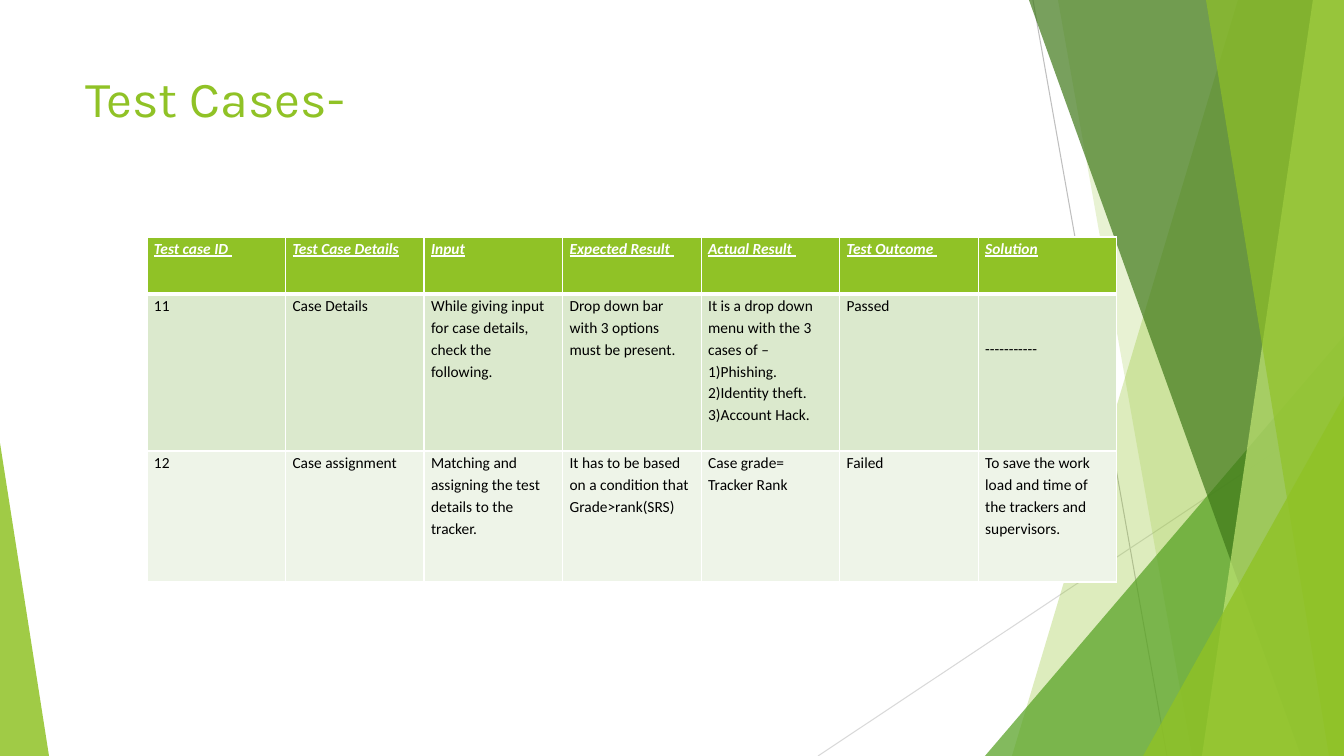
from lxml.etree import SubElement
from pptx import Presentation
from pptx.dml.color import RGBColor
from pptx.enum.shapes import MSO_CONNECTOR, MSO_SHAPE
from pptx.enum.text import MSO_ANCHOR, MSO_AUTO_SIZE, PP_ALIGN
from pptx.oxml.ns import qn
from pptx.util import Emu, Pt

COLORS = {
    "lime": "90C226", "green": "54A021", "forest": "3F7819", "pale": "C0E474",
    "gray": "BFBFBF", "silver": "D9D9D9", "white": "FFFFFF", "black": "000000",
    "band": "DBE9CD", "band_light": "EEF4E8",
}
WIDTH, HEIGHT = 1344, 756

RAYS = [(1033, 0, 1167, HEIGHT, "gray"), (WIDTH, 406, 818, HEIGHT, "silver")]
BACK_PANELS = [(1238, 1012, "lime", 30), (1058, 1192, "lime", 20)]
FRONT_PANELS = [(1029, 1301, "forest", 70), (1313, 1202, "pale", 70),
                (1206, 1329, "lime", 65)]
BACK_WEDGE = (985, 336, 359, 1, "green", 72)
FRONT_WEDGES = [(1143, 396, 201, 1, "lime", 80), (0, 443, 49, 0, "lime", 85)]

ROW_HEIGHTS = [57, 157, 131]
ROW_FILLS = ["lime", "band", "band_light"]
TEST_CASES = [
    ["Test case ID ", "Test Case Details", "Input", "Expected Result ",
     "Actual Result ", "Test Outcome ", "Solution"],
    ["11", "Case Details",
     "While giving input for case details, check the following.",
     "Drop down bar with 3 options must be present.",
     "It is a drop down menu with the 3 cases of –\n1)Phishing.\n"
     "2)Identity theft.\n3)Account Hack.",
     "Passed", "-----------"],
    ["12", "Case assignment",
     "Matching and assigning the test details to the tracker.",
     "It has to be based on a condition that Grade>rank(SRS)",
     "Case grade= Tracker Rank", "Failed",
     "To save the work load and time of the trackers and supervisors."],
]


def px(length):
    return Emu(round(length * 914400 / 100.8))


def rgb(name):
    return RGBColor.from_string(COLORS[name])


class SlideBuilder:
    """Draws styled elements on the current slide."""

    def __init__(self, deck):
        self.page = deck.slides.add_slide(deck.slide_layouts[5])
        self.heading_font = "Karla"
        self.table_font = "Calibri"

    def span(self, para, text, font, size, color):
        run = para.add_run()
        run.text = text
        run.font.name = font
        run.font.size = Pt(size)
        run.font.color.rgb = rgb(color)
        return run

    def title(self, text, left, top, width, height):
        box = self.page.shapes.title
        box.element.getparent().append(box.element)
        box.left, box.top = px(left), px(top)
        box.width, box.height = px(width), px(height)
        frame = box.text_frame
        frame.auto_size = MSO_AUTO_SIZE.NONE
        frame.vertical_anchor = MSO_ANCHOR.TOP
        para = frame.paragraphs[0]
        para.alignment = PP_ALIGN.LEFT
        self.span(para, text, self.heading_font, 36, "lime")

    def ray(self, x1, y1, x2, y2, color):
        line = self.page.shapes.add_connector(
            MSO_CONNECTOR.STRAIGHT, px(x1), px(y1), px(x2), px(y2))
        line.line.color.rgb = rgb(color)
        line.line.width = Pt(0.75)
        SubElement(line.element.spPr, qn("a:effectLst"))

    def tint(self, shape, color, opacity):
        shape.shadow.inherit = False
        shape.fill.solid()
        shape.fill.fore_color.rgb = rgb(color)
        shape.line.fill.background()
        tone = shape.element.spPr.find(".//" + qn("a:srgbClr"))
        SubElement(tone, qn("a:alpha"), val=str(opacity * 1000))

    def panel(self, top_x, bottom_x, color, opacity):
        outline = self.page.shapes.build_freeform(px(top_x), px(0))
        corners = [(WIDTH, 0), (WIDTH, HEIGHT), (bottom_x, HEIGHT)]
        outline.add_line_segments([(px(x), px(y)) for x, y in corners])
        self.tint(outline.convert_to_shape(), color, opacity)

    def wedge(self, left, top, width, apex, color, opacity):
        shape = self.page.shapes.add_shape(
            MSO_SHAPE.ISOSCELES_TRIANGLE,
            px(left), px(top), px(width), px(HEIGHT - top))
        shape.adjustments[0] = apex
        self.tint(shape, color, opacity)

    def borders(self, cell, top, bottom):
        properties = cell._tc.get_or_add_tcPr()
        for side, points in (("L", 1), ("R", 1), ("T", top), ("B", bottom)):
            edge = SubElement(properties, qn("a:ln" + side), w=str(Pt(points)))
            fill = SubElement(edge, qn("a:solidFill"))
            SubElement(fill, qn("a:srgbClr"), val=COLORS["white"])

    def cell(self, cell, text, fill, header):
        cell.margin_left = cell.margin_right = px(7)
        cell.margin_top = px(43 if text.startswith("---") else 0)
        cell.margin_bottom = 0
        cell.vertical_anchor = MSO_ANCHOR.TOP
        cell.fill.solid()
        cell.fill.fore_color.rgb = rgb(fill)
        frame = cell.text_frame
        for index, line in enumerate(text.split("\n")):
            para = frame.add_paragraph() if index else frame.paragraphs[0]
            para.line_spacing = 1.15
            run = self.span(para, line, self.table_font, 11,
                            "white" if header else "black")
            run.font.bold = run.font.italic = run.font.underline = header

    def table(self, rows, left, top, width):
        count = len(rows[0])
        table = self.page.shapes.add_table(
            len(rows), count, px(left), px(top),
            px(width), px(sum(ROW_HEIGHTS))).table
        table.horz_banding = False
        for column in table.columns:
            column.width = px(width / count)
        for r, texts in enumerate(rows):
            table.rows[r].height = px(ROW_HEIGHTS[r])
            for c, text in enumerate(texts):
                cell = table.cell(r, c)
                self.borders(cell, 3 if r == 1 else 1, 3 if r == 0 else 1)
                self.cell(cell, text, ROW_FILLS[r], r == 0)


def main():
    deck = Presentation()
    deck.slide_width, deck.slide_height = px(WIDTH), px(HEIGHT)
    builder = SlideBuilder(deck)
    for ray in RAYS:
        builder.ray(*ray)
    for panel in BACK_PANELS:
        builder.panel(*panel)
    builder.wedge(*BACK_WEDGE)
    for panel in FRONT_PANELS:
        builder.panel(*panel)
    for wedge in FRONT_WEDGES:
        builder.wedge(*wedge)
    builder.title("Test Cases-", 75, 62, 948, 145)
    builder.table(TEST_CASES, 147, 237, 970)
    deck.save("out.pptx")


if __name__ == "__main__":
    main()
